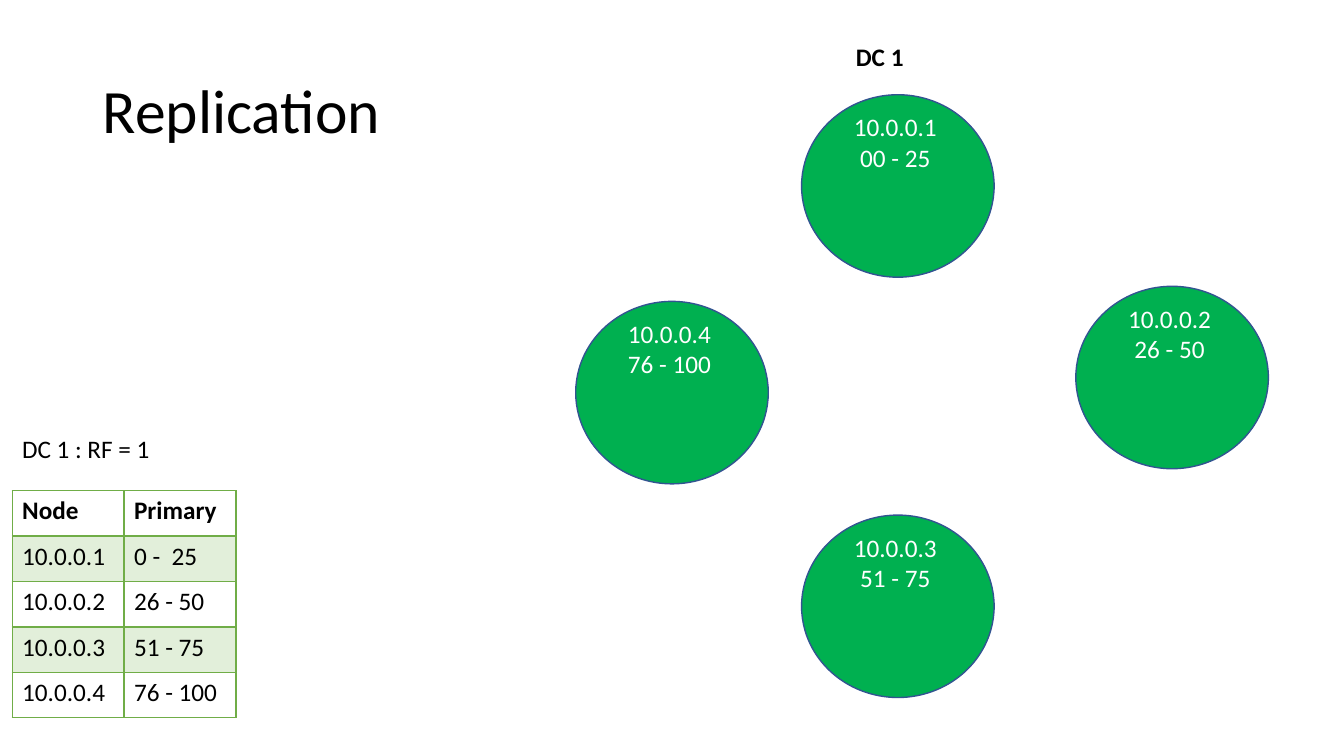
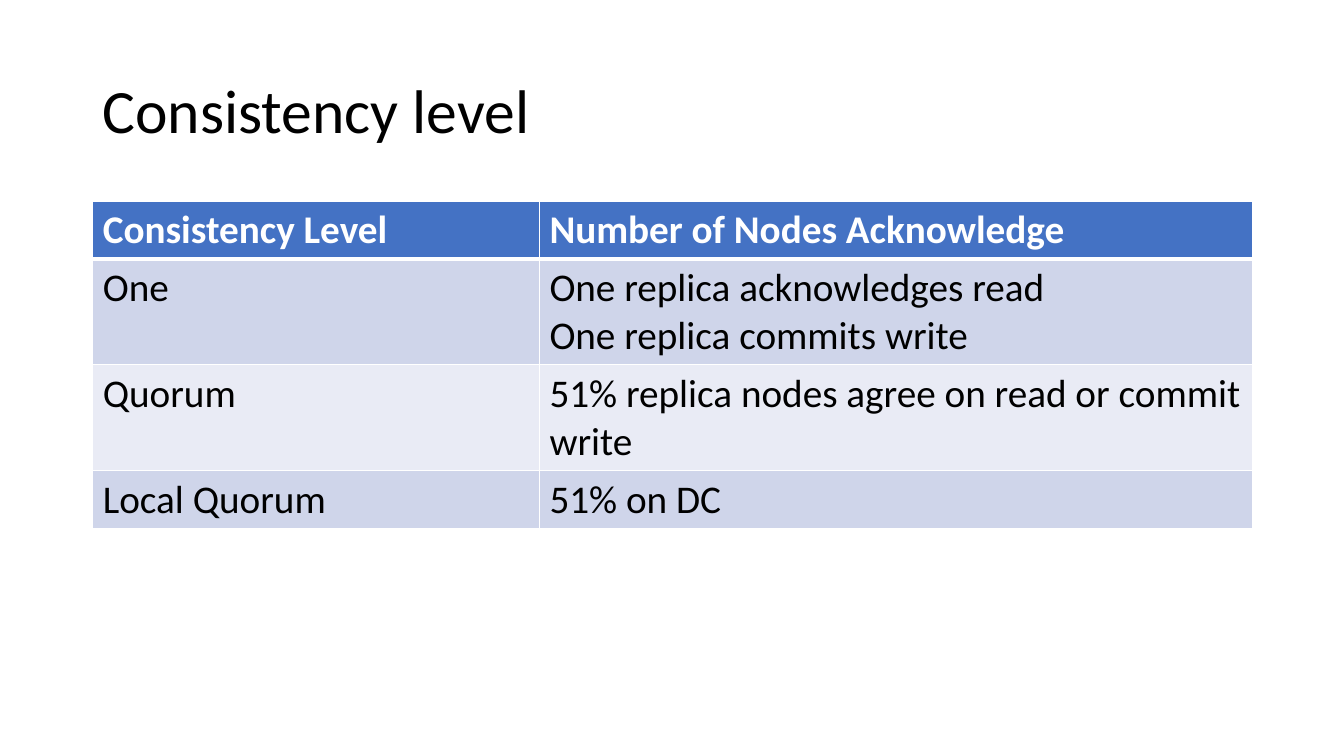
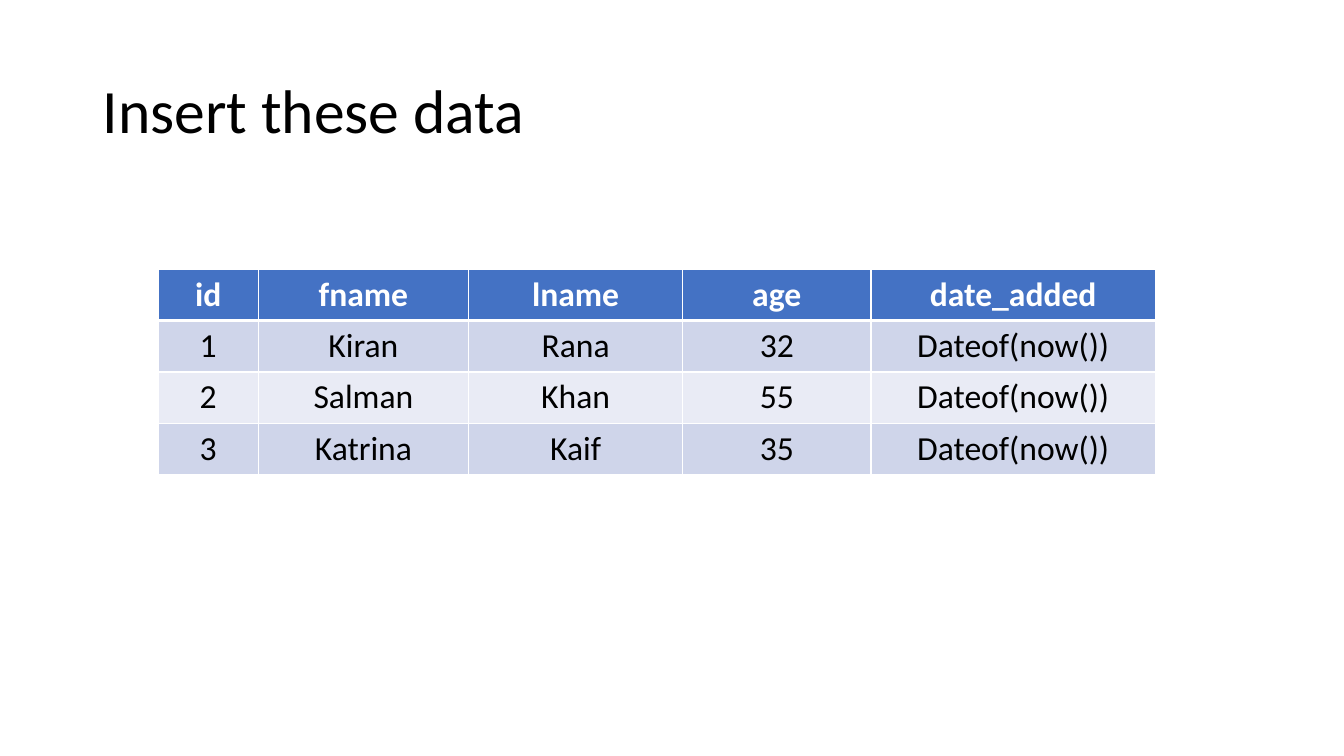
from lxml.etree import SubElement
from pptx import Presentation
from pptx.dml.color import RGBColor
from pptx.enum.shapes import MSO_SHAPE
from pptx.enum.text import MSO_ANCHOR, PP_ALIGN
from pptx.oxml.ns import qn
from pptx.util import Inches, Pt

FONT = "Calibri"
BLACK = RGBColor(0x00, 0x00, 0x00)
WHITE = RGBColor(0xFF, 0xFF, 0xFF)
NODE_GREEN = RGBColor(0x00, 0xB0, 0x50)
NODE_LINE = RGBColor(0x32, 0x54, 0x91)
GRID_GREEN = RGBColor(0x70, 0xAD, 0x47)
PALE_GREEN = RGBColor(0xE2, 0xEF, 0xDA)
HEADER_BLUE = RGBColor(0x44, 0x72, 0xC4)
BAND_BLUE = RGBColor(0xCF, 0xD5, 0xEA)
PALE_BLUE = RGBColor(0xE9, 0xEB, 0xF5)

BLUE_STYLE = dict(header_fill=HEADER_BLUE, header_color=WHITE,
                  bands=(BAND_BLUE, PALE_BLUE), border=WHITE, rule=3)
GREEN_STYLE = dict(header_fill=None, header_color=BLACK,
                   bands=(PALE_GREEN, None), border=GRID_GREEN, rule=2)

NODE_W, NODE_H = 1.91, 1.81
NODES = [
    (7.95, 0.94, "10.0.0.1\n00 - 25"),
    (10.67, 2.84, "10.0.0.2\n26 - 50"),
    (7.95, 5.11, "10.0.0.3\n51 - 75"),
    (5.71, 2.99, "10.0.0.4\n76 - 100"),
]
RANGES = [
    ("Node", "Primary"),
    ("10.0.0.1", "0 -  25"),
    ("10.0.0.2", "26 - 50"),
    ("10.0.0.3", "51 - 75"),
    ("10.0.0.4", "76 - 100"),
]
LEVELS = [
    ("Consistency Level", "Number of Nodes Acknowledge"),
    ("One", "One replica acknowledges read\nOne replica commits write"),
    ("Quorum", "51% replica nodes agree on read or commit write"),
    ("Local Quorum", "51% on DC"),
]
PEOPLE = [
    ("id", "fname", "lname", "age", "date_added"),
    ("1", "Kiran", "Rana", "32", "Dateof(now())"),
    ("2", "Salman", "Khan", "55", "Dateof(now())"),
    ("3", "Katrina", "Kaif", "35", "Dateof(now())"),
]


def write_text(tf, text, size=18, color=BLACK, bold=False,
               align=PP_ALIGN.LEFT, line_spacing=None):
    for i, line in enumerate(text.split("\n")):
        p = tf.add_paragraph() if i else tf.paragraphs[0]
        p.alignment = align
        p.line_spacing = line_spacing
        r = p.add_run()
        r.text = line
        r.font.name = FONT
        r.font.size = Pt(size)
        r.font.bold = bold
        r.font.color.rgb = color


def add_text(s, box, text, wrap=True, anchor=MSO_ANCHOR.TOP, **fmt):
    tf = s.shapes.add_textbox(*map(Inches, box)).text_frame
    tf.word_wrap = wrap
    tf.vertical_anchor = anchor
    write_text(tf, text, **fmt)


def add_titled_slide(prs, title):
    s = prs.slides.add_slide(prs.slide_layouts[6])
    add_text(s, (0.92, 0.4, 11.5, 1.45), title, anchor=MSO_ANCHOR.MIDDLE,
             size=44, line_spacing=0.9)
    return s


def add_node(s, left, top, label):
    sp = s.shapes.add_shape(MSO_SHAPE.OVAL, Inches(left), Inches(top),
                            Inches(NODE_W), Inches(NODE_H))
    sp.shadow.inherit = False
    sp.fill.solid()
    sp.fill.fore_color.rgb = NODE_GREEN
    sp.line.color.rgb = NODE_LINE
    sp.line.width = Pt(1)
    add_text(s, (left + 0.41, top + 0.12, 1.04, 0.71), label, wrap=False,
             color=WHITE, align=PP_ALIGN.CENTER)


def fill_cell(cell, color):
    if color is None:
        cell.fill.background()
    else:
        cell.fill.solid()
        cell.fill.fore_color.rgb = color


def set_borders(cell, color, top=1, bottom=1):
    tc_pr = cell._tc.get_or_add_tcPr()
    widths = {"a:lnL": 1, "a:lnR": 1, "a:lnT": top, "a:lnB": bottom}
    for i, (tag, width) in enumerate(widths.items()):
        ln = SubElement(tc_pr, qn(tag), w=str(Pt(width)))
        fill = SubElement(ln, qn("a:solidFill"))
        SubElement(fill, qn("a:srgbClr"), val=str(color))
        tc_pr.insert(i, ln)


def add_grid(s, left, top, col_widths, row_heights, data, style,
             size=18, align=PP_ALIGN.LEFT):
    frame = s.shapes.add_table(len(data), len(col_widths), Inches(left), Inches(top),
                               Inches(sum(col_widths)), Inches(sum(row_heights)))
    table = frame.table
    table.first_row = table.horz_banding = False
    for col, width in zip(table.columns, col_widths):
        col.width = Inches(width)
    for i, (row, height) in enumerate(zip(table.rows, row_heights)):
        row.height = Inches(height)
        header = i == 0
        fill = style["header_fill"] if header else style["bands"][(i - 1) % 2]
        for cell, text in zip(row.cells, data[i]):
            write_text(cell.text_frame, text, size=size, bold=header, align=align,
                       color=style["header_color"] if header else BLACK)
            fill_cell(cell, fill)
            set_borders(cell, style["border"],
                        top=style["rule"] if i == 1 else 1,
                        bottom=style["rule"] if header else 1)


def build_replication(prs):
    s = add_titled_slide(prs, "Replication")
    add_text(s, (8.39, 0.36, 0.98, 0.4), "DC 1", bold=True)
    for node in NODES:
        add_node(s, *node)
    add_grid(s, 0.12, 4.87, [1.11] * 2, [0.45] * 5, RANGES, GREEN_STYLE)
    add_text(s, (0.12, 4.25, 1.82, 0.4), "DC 1 : RF = 1")


def build_consistency(prs):
    s = add_titled_slide(prs, "Consistency level")
    add_grid(s, 0.92, 2, [4.43, 7.07], [0.57, 1.05, 1.05, 0.57], LEVELS,
             BLUE_STYLE, size=28)


def build_insert(prs):
    s = add_titled_slide(prs, "Insert these data")
    add_grid(s, 1.57, 2.67, [0.99, 2.09, 2.12, 1.87, 2.82], [0.51] * 4, PEOPLE,
             BLUE_STYLE, size=24, align=PP_ALIGN.CENTER)


def main():
    prs = Presentation()
    prs.slide_width = Inches(13.33)
    prs.slide_height = Inches(7.5)
    build_replication(prs)
    build_consistency(prs)
    build_insert(prs)
    prs.save("out.pptx")


if __name__ == "__main__":
    main()
